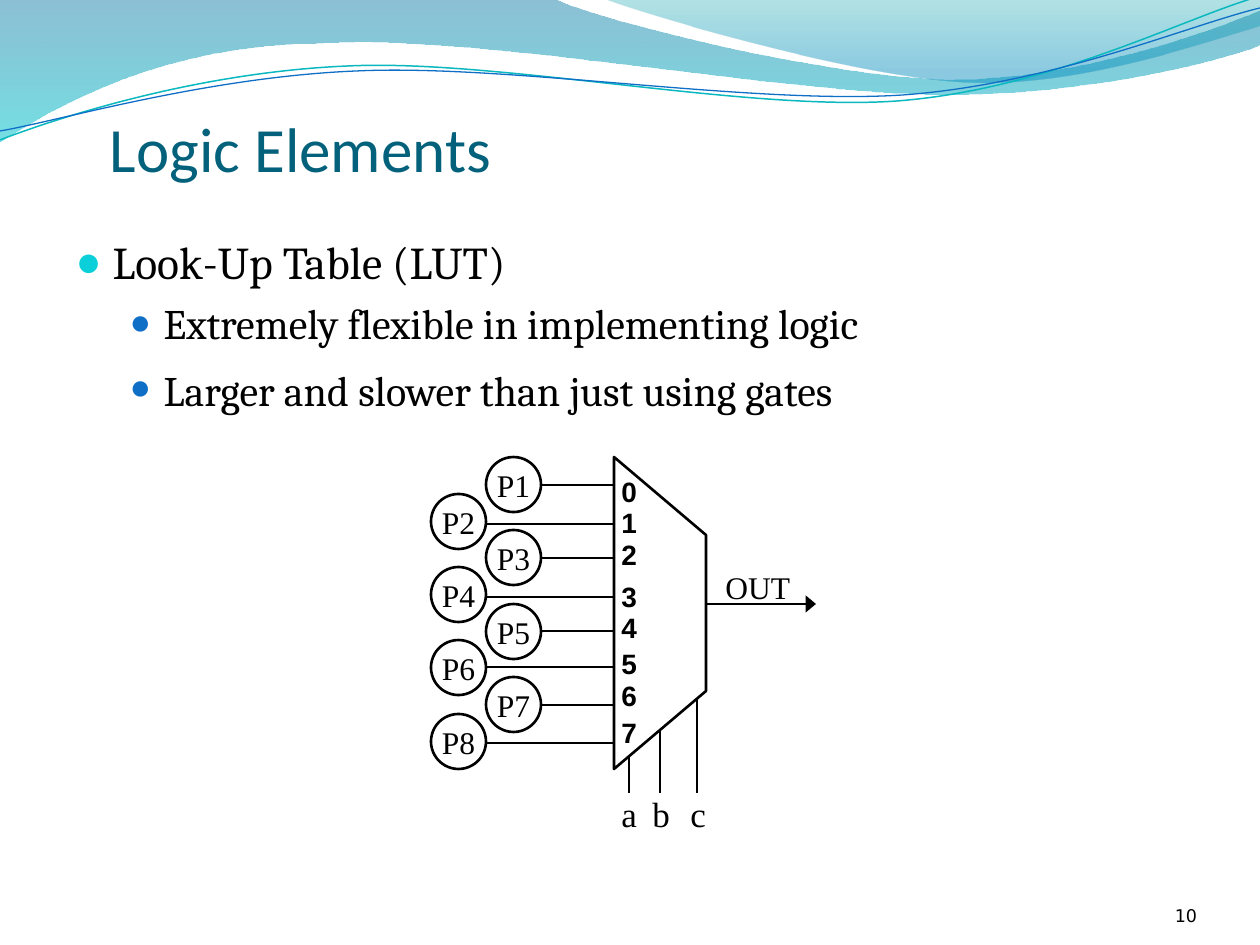
import math
from dataclasses import dataclass

from lxml import etree
from pptx import Presentation
from pptx import util as u
from pptx.dml.color import RGBColor
from pptx.enum import shapes, text
from pptx.oxml import ns


@dataclass
class Theme:
    ink: str = "000000"
    title: str = "04617B"
    bullet: str = "0BD0D9"
    sub_bullet: str = "0F6FC6"
    teal: str = "0AB8BF"
    heading_font: str = "Calibri"
    body_font: str = "Cambria"
    label_font: str = "Times New Roman"
    digit_font: str = "Arial"
    number_font: str = "DejaVu Sans"
    title_size: float = 36
    body_size: float = 26
    sub_size: float = 24
    tail_size: float = 28
    select_size: float = 20
    label_size: float = 18
    digit_size: float = 16
    number_size: float = 10
    stroke: float = 1.5


theme = Theme()
PX = 914400 / 126
rgb = RGBColor.from_string


def place(*lengths):
    return [u.Emu(round(value * PX)) for value in lengths]


def letter(para, font, size, color=theme.ink, bold=False, align=text.PP_ALIGN.LEFT):
    para.alignment = align
    for span in para.runs:
        span.font.name = font
        span.font.size = u.Pt(size)
        span.font.bold = bold
        span.font.color.rgb = rgb(color)


deck = Presentation()
deck.slide_width, deck.slide_height = place(1260, 945)
page = deck.slides.add_slide(deck.slide_layouts[1])

waves = [
    ([(0, -1), (554, -1), (600, 21, 837, 79, 955, 79), (1075, 79, 1207, 33, 1260, 11),
      (1261, 45), (1239, 55, 1096, 96, 940, 94), (784, 94, 481, 35, 324, 43),
      (163, 44, 58, 105, -1, 142), (0, -1)], [("0074A1", 45, 0), ("00C6CF", 55, 1)], None, 0),
    ([(604, -1), (641, 14, 859, 78, 969, 82), (1079, 87, 1211, 40, 1260, 26), (1260, 0),
      (604, -1)], [("00A1A9", 30, 0), ("008BBF", 45, 0.8)], None, 0),
    ([(0, 140), (60, 117, 199, 72, 349, 66), (498, 59, 747, 112, 898, 101),
      (1050, 89, 1182, 19, 1257, -3)], None, (theme.teal, 0.85), 2.7),
    ([(0, 131), (59, 121, 207, 77, 357, 71), (508, 64, 752, 105, 903, 95),
      (1053, 84, 1186, 26, 1260, 8)], None, (theme.sub_bullet, 0.75), 2.7),
]
for depth, (steps, stops, line, tilt) in enumerate(waves):
    cos, sin = math.cos(math.radians(tilt)), math.sin(math.radians(tilt))
    points = [step[i:i + 2] for step in steps for i in range(0, len(step), 2)]
    outline = [place(x * cos - y * sin, x * sin + y * cos) for x, y in points]
    builder = page.shapes.build_freeform(*outline[0])
    builder.add_line_segments(outline[1:], close=bool(stops))
    wave = builder.convert_to_shape()
    segments = list(wave._element.iter(ns.qn("a:lnTo")))
    for step in steps[1:]:
        pieces = [segments.pop(0) for _ in range(len(step) // 2)]
        if len(pieces) == 3:
            curve = etree.Element(ns.qn("a:cubicBezTo"))
            pieces[0].addprevious(curve)
            for piece in pieces:
                curve.append(piece[0])
                piece.getparent().remove(piece)
    x, y = wave.left + wave.width / 2, wave.top + wave.height / 2
    wave.left = round(x * cos + y * sin - wave.width / 2)
    wave.top = round(y * cos - x * sin - wave.height / 2)
    wave.rotation = -tilt
    wave.shadow.inherit = False
    if stops:
        wave.line.fill.background()
        wave.fill.gradient()
        wave.fill.gradient_angle = 270
        for stop, (color, _, position) in zip(wave.fill.gradient_stops, stops):
            stop.color.rgb = rgb(color)
            stop.position = position
        for node, (_, opacity, _) in zip(wave._element.spPr.iter(ns.qn("a:srgbClr")), stops):
            etree.SubElement(node, ns.qn("a:alpha"), val=str(opacity * 1000))
    else:
        wave.fill.background()
        wave.line.color.rgb = rgb(line[0])
        wave.line.width = u.Pt(line[1])
    deck.slide_master.shapes._spTree.insert(2 + depth, wave._element)

title = page.shapes.title
title.left, title.top, title.width, title.height = place(110, 28, 1134, 157)
frame = title.text_frame
frame.text = "Logic Elements"
frame.vertical_anchor = text.MSO_ANCHOR.BOTTOM
frame.margin_left = frame.margin_right = frame.margin_bottom = 0
letter(frame.paragraphs[0], theme.heading_font, theme.title_size, theme.title)

body = page.placeholders[1]
body.left, body.top, body.width, body.height = place(63, 228, 1134, 605)
body.text_frame.text = "\n".join([
    "Look-Up Table (LUT)",
    "Extremely flexible in implementing logic",
    "Larger and slower than just using gates",
])
levels = [
    (theme.body_size, theme.bullet, 95, 37, 37),
    (theme.sub_size, theme.sub_bullet, 85, 88, 34),
]
for index, para in enumerate(body.text_frame.paragraphs):
    para.level = min(index, 1)
    size, color, percent, margin, hang = levels[para.level]
    letter(para, theme.body_font, size)
    props = para._p.get_or_add_pPr()
    props.set("marL", str(round(margin * PX)))
    props.set("indent", str(round(-hang * PX)))
    tint = etree.SubElement(props, ns.qn("a:buClr"))
    etree.SubElement(tint, ns.qn("a:srgbClr"), val=color)
    etree.SubElement(props, ns.qn("a:buSzPct"), val=str(percent * 1000))
    etree.SubElement(props, ns.qn("a:buFont"), typeface=theme.digit_font)
    etree.SubElement(props, ns.qn("a:buChar"), char="●")
tail = para.add_run()
tail.text = " "
tail.font.name = theme.body_font
tail.font.size = u.Pt(theme.tail_size)

number = page.shapes.add_textbox(*place(1092, 876, 105, 50))
frame = number.text_frame
frame.word_wrap = True
frame.text = "10"
frame.vertical_anchor = text.MSO_ANCHOR.BOTTOM
frame.margin_left = frame.margin_top = frame.margin_right = frame.margin_bottom = 0
letter(frame.paragraphs[0], theme.number_font, theme.number_size, align=text.PP_ALIGN.RIGHT)

outlined = []
wires = []
input_rows = [485, 524, 558, 597, 631, 667, 705, 743]
for index, row in enumerate(input_rows):
    left = 431 if index % 2 else 486
    cell = page.shapes.add_shape(shapes.MSO_SHAPE.OVAL, *place(left, round(457 + 36.7 * index), 55, 55))
    frame = cell.text_frame
    frame.text = f"P{index + 1}"
    frame.word_wrap = False
    frame.vertical_anchor = text.MSO_ANCHOR.MIDDLE
    letter(frame.paragraphs[0], theme.label_font, theme.label_size, align=text.PP_ALIGN.CENTER)
    outlined.append(cell)
    wires.append((left + 55, row, 614, row))

corners = [place(x, y) for x, y in [(504, 567), (582, 659), (738, 659), (816, 567)]]
builder = page.shapes.build_freeform(*corners[0])
builder.add_line_segments(corners[1:], close=True)
multiplexer = builder.convert_to_shape()
multiplexer.rotation = 270
outlined.append(multiplexer)

for shape in outlined:
    shape.shadow.inherit = False
    shape.fill.background()
    shape.line.color.rgb = rgb(theme.ink)
    shape.line.width = u.Pt(theme.stroke)

wires.append((706, 604, 816, 604))
wires += [(x, top, x, 793) for x, top in [(629, 757), (660, 730), (697, 699)]]
for ends in wires:
    wire = page.shapes.add_connector(shapes.MSO_CONNECTOR.STRAIGHT, *place(*ends))
    wire.line.color.rgb = rgb(theme.ink)
    wire.line.width = u.Pt(theme.stroke)
    if ends[2] == 816:
        etree.SubElement(wire.line._get_or_add_ln(), ns.qn("a:tailEnd"), type="triangle", w="lg", len="med")
    etree.SubElement(wire._element.spPr, ns.qn("a:effectLst"))

labels = [(name, left, 786, 40, 54, theme.label_font, theme.select_size, False)
          for name, left in zip("abc", (609, 640, 678))]
labels.append(("OUT", 713, 562, 91, 50, theme.label_font, theme.label_size, False))
labels += [(str(digit), 609, top, 40, 47, theme.digit_font, theme.digit_size, True)
           for digit, top in enumerate([468, 499, 531, 573, 604, 640, 672, 709])]
for content, left, top, width, height, font, size, bold in labels:
    box = page.shapes.add_textbox(*place(left, top, width, height))
    frame = box.text_frame
    frame.text = content
    frame.word_wrap = False
    frame.auto_size = text.MSO_AUTO_SIZE.SHAPE_TO_FIT_TEXT
    align = text.PP_ALIGN.CENTER if bold else text.PP_ALIGN.LEFT
    letter(frame.paragraphs[0], font, size, bold=bold, align=align)

deck.save("out.pptx")
